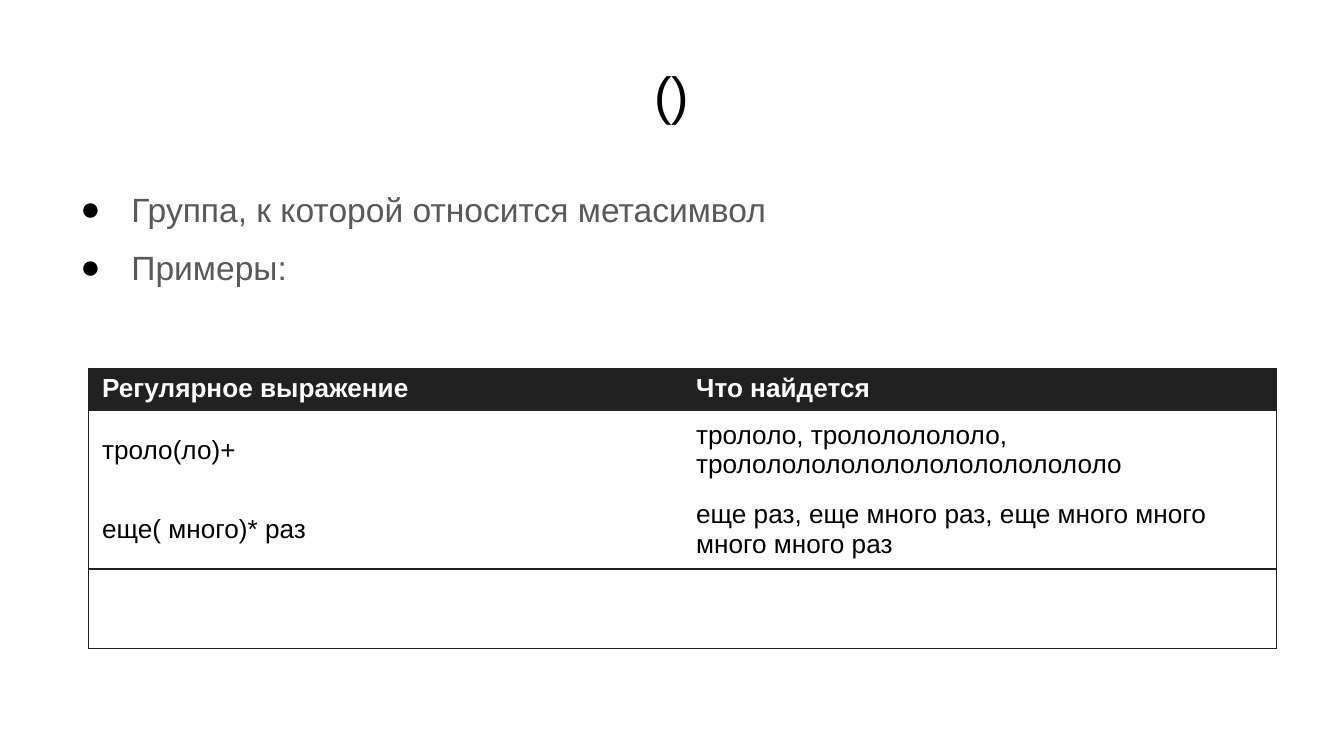
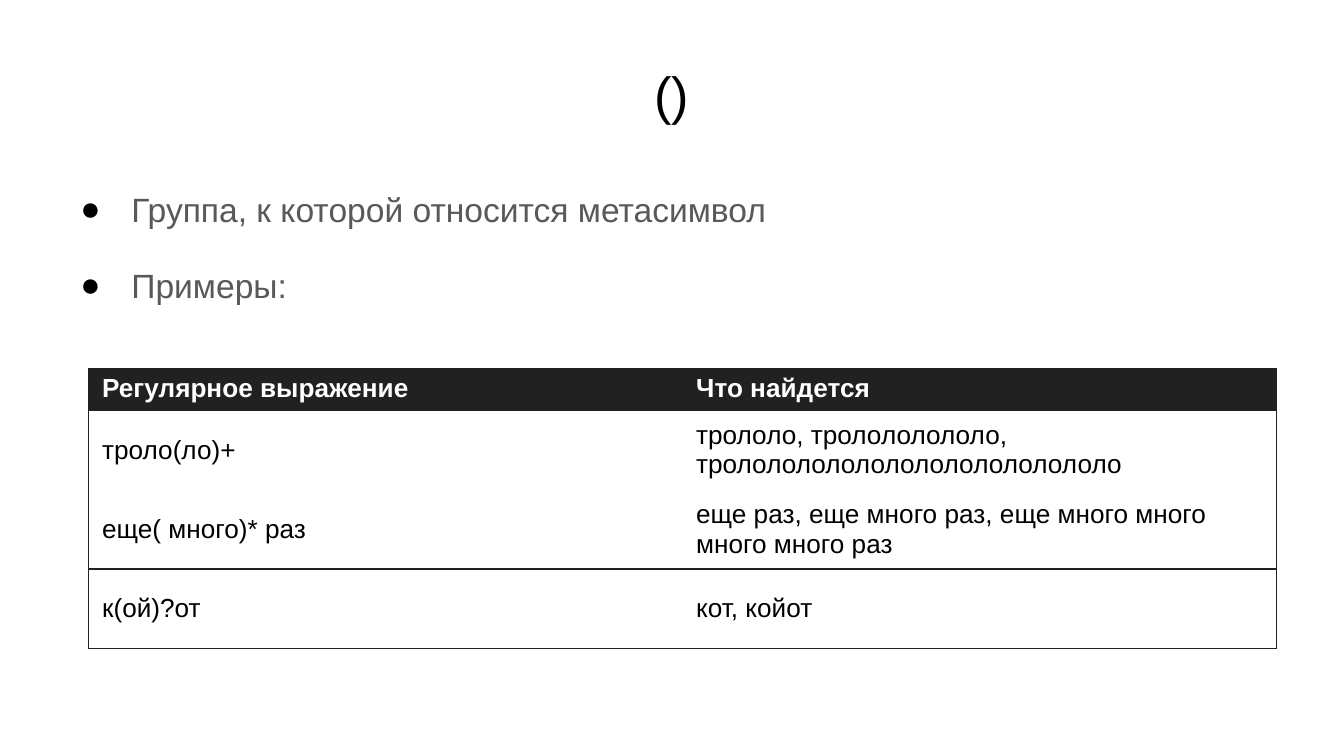
import pptx
import pptx.util
import pptx.dml.color
import pptx.enum.text
import pptx.oxml.ns
import lxml.etree

Inches = pptx.util.Inches
Pt = pptx.util.Pt
ANCHOR = pptx.enum.text.MSO_ANCHOR
DARK, GREY, BLACK, WHITE = "212121", "595959", "000000", "FFFFFF"


def color(code):
    return pptx.dml.color.RGBColor.from_string(code)


def add(parent, tag, **attrs):
    return lxml.etree.SubElement(parent, pptx.oxml.ns.qn(tag), attrs)


class Deck:
    """Holds the shared style and the current slide."""

    font = "Arial"
    left, width = 0.5, 9
    hang = 0.38

    def __init__(self):
        self.show = pptx.Presentation()
        self.show.slide_width = Inches(10)
        self.show.slide_height = Inches(10) * 9 // 16

    def format(self, para, size, code, bold=False):
        for run in para.runs:
            font = run.font
            font.name, font.size, font.bold = self.font, Pt(size), bold
            font.color.rgb = color(code)

    def inset(self, frame, side, edge):
        frame.margin_left = frame.margin_right = Inches(side)
        frame.margin_top = frame.margin_bottom = Inches(edge)

    def title(self, text):
        self.slide = self.show.slides.add_slide(self.show.slide_layouts[5])
        fill = self.slide.background.fill
        fill.solid()
        fill.fore_color.rgb = color(WHITE)
        shape = self.slide.shapes.title
        shape.left, shape.top = Inches(self.left), Inches(0.23)
        shape.width, shape.height = Inches(self.width), Inches(0.94)
        frame = shape.text_frame
        frame.text = text
        frame.vertical_anchor = ANCHOR.MIDDLE
        self.inset(frame, 0.1, 0.05)
        para = frame.paragraphs[0]
        para.alignment = pptx.enum.text.PP_ALIGN.CENTER
        self.format(para, 28, BLACK)

    def bullets(self, lines, height, gap):
        box = self.slide.shapes.add_textbox(
            Inches(self.left), Inches(1.31), Inches(self.width), Inches(height))
        frame = box.text_frame
        frame.word_wrap = True
        self.inset(frame, 0.1, 0.05)
        frame.text = "\n".join(lines)
        for para in frame.paragraphs:
            self.format(para, 18, GREY)
            para.line_spacing = 1.15
            props = para._p.get_or_add_pPr()
            props.set("marL", str(Inches(self.hang)))
            props.set("indent", str(-Inches(self.hang)))
            add(add(props, "a:buClr"), "a:srgbClr", val=BLACK)
            add(props, "a:buFont", typeface=self.font)
            add(props, "a:buChar", char="●")
        para.space_before, para.space_after = Pt(gap), Pt(16)

    def border(self, cell, sides):
        props = cell._tc.get_or_add_tcPr()
        for side in "LRTB":
            line = add(props, f"a:ln{side}", w=str(Pt(0.75)))
            if side in sides:
                add(add(line, "a:solidFill"), "a:srgbClr", val=DARK)
            else:
                add(line, "a:noFill")

    def table(self, rows):
        heights = [0.31] + [0.59] * (len(rows) - 1)
        last = len(rows) - 1
        grid = self.slide.shapes.add_table(
            len(rows), 2, Inches(0.66), Inches(2.74),
            Inches(8.84), Inches(sum(heights))).table
        grid.first_row = grid.horz_banding = False
        for r, row in enumerate(rows):
            grid.rows[r].height = Inches(heights[r])
            sides = {0: "TB", 1: "T", last - 1: "B", last: "TB"}.get(r, "")
            for c, text in enumerate(row):
                cell = grid.cell(r, c)
                self.border(cell, sides + "LR"[c])
                self.fill(cell, text, r == 0)

    def fill(self, cell, text, head):
        cell.text = text
        self.inset(cell, 0.1, 0.04 if head else 0)
        self.format(cell.text_frame.paragraphs[0], 14,
                    WHITE if head else BLACK, head)
        if head:
            cell.fill.solid()
            cell.fill.fore_color.rgb = color(DARK)
        else:
            cell.vertical_anchor = ANCHOR.MIDDLE
            cell.fill.background()


def main():
    lines = ["Группа, к которой относится метасимвол", "Примеры:"]
    rows = [
        ("Регулярное выражение", "Что найдется"),
        ("троло(ло)+", "трололо, тролололололо, тролололололололололололололо"),
        ("еще( много)* раз",
         "еще раз, еще много раз, еще много много много много раз"),
    ]
    deck = Deck()
    for height, gap, final in ((1.39, 6.4, ("", "")),
                               (3.71, 16, ("к(ой)?от", "кот, койот"))):
        deck.title("()")
        deck.bullets(lines, height, gap)
        deck.table(rows + [final])
    deck.show.save("out.pptx")


if __name__ == "__main__":
    main()
